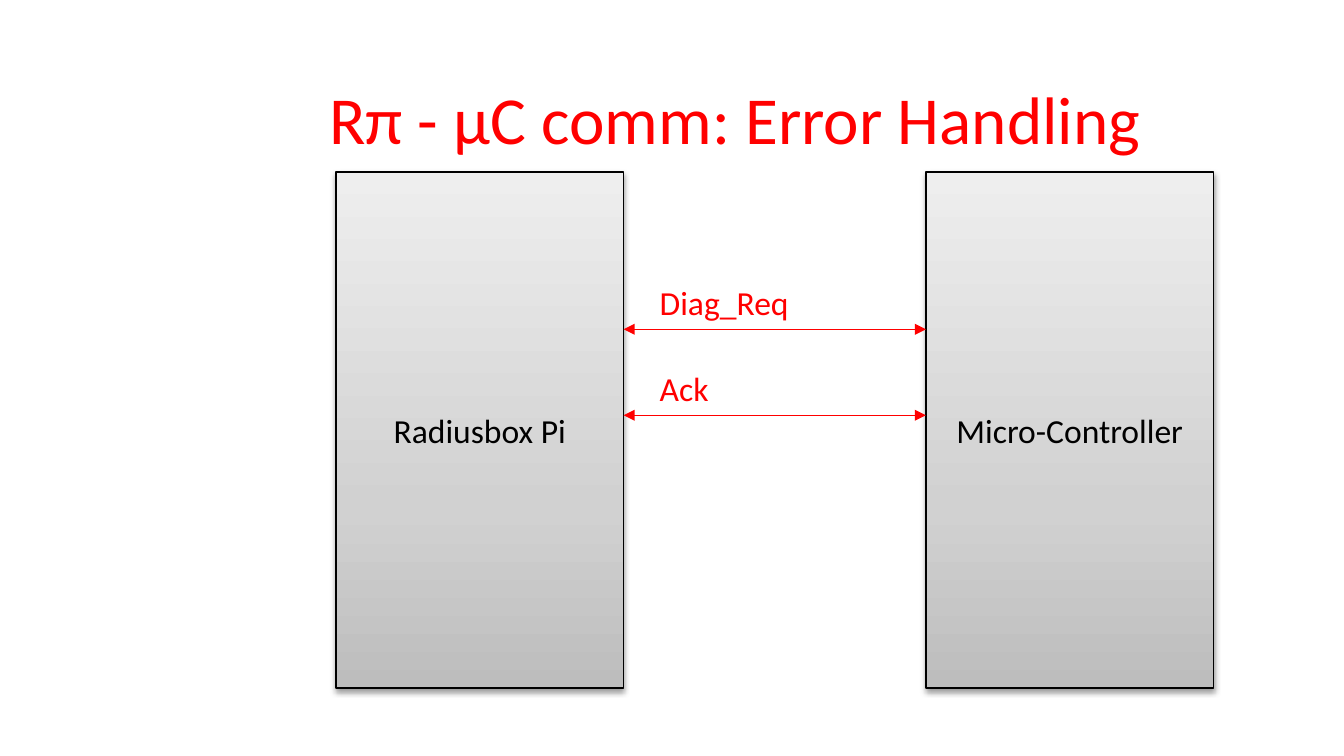
"""Build the error-handling slide: two devices and the messages between them."""
from dataclasses import dataclass

from lxml import etree
from pptx import Presentation
from pptx.dml.color import RGBColor
from pptx.enum.shapes import MSO_CONNECTOR, MSO_SHAPE
from pptx.enum.text import MSO_ANCHOR, MSO_AUTO_SIZE, PP_ALIGN
from pptx.oxml.ns import qn
from pptx.util import Inches, Pt

RECT, STRAIGHT = MSO_SHAPE.RECTANGLE, MSO_CONNECTOR.STRAIGHT
TOP, MIDDLE = MSO_ANCHOR.TOP, MSO_ANCHOR.MIDDLE
LEFT, CENTER = PP_ALIGN.LEFT, PP_ALIGN.CENTER
NO_FIT, GROW = MSO_AUTO_SIZE.NONE, MSO_AUTO_SIZE.SHAPE_TO_FIT_TEXT


@dataclass(frozen=True)
class Theme:
    font: str = "Calibri"
    title_size: int = 36
    body_size: int = 18
    line_width: float = 0.75
    accent: str = "FF0000"
    ink: str = "000000"
    gradient: tuple = ((0, "BDBDBD"), (35, "D1D1D1"), (100, "EEEEEE"))


@dataclass(frozen=True)
class Device:
    name: str
    left: float


@dataclass(frozen=True)
class Message:
    label: str
    y: float


THEME = Theme()
SLIDE_WIDTH = Inches(10)
SLIDE_HEIGHT = SLIDE_WIDTH * 9 // 16
DEVICE_TOP, DEVICE_WIDTH, DEVICE_HEIGHT = 1.28, 2.14, 3.84
LABEL_LEFT, LABEL_WIDTH, LABEL_HEIGHT = 4.81, 1.65, 0.4
DEVICES = (Device("Radiusbox Pi", 2.5), Device("Micro-Controller", 6.89))
MESSAGES = (Message("Diag_Req", 2.45), Message("Ack", 3.09))


def put_text(shape, text: str, *, size: int = THEME.body_size, color: str = THEME.ink,
             align=LEFT, anchor=TOP, fit=NO_FIT) -> None:
    """Write one formatted paragraph into a shape."""
    tf = shape.text_frame
    tf.word_wrap, tf.auto_size, tf.vertical_anchor = True, fit, anchor
    p = tf.paragraphs[0]
    p.alignment = align
    r = p.add_run()
    r.text = text
    r.font.name, r.font.size = THEME.font, Pt(size)
    r.font.color.rgb = RGBColor.from_string(color)


def add_color(parent, color: str):
    """Append an sRGB colour element."""
    return etree.SubElement(parent, qn("a:srgbClr"), val=color)


def shade(sp) -> None:
    """Give a shape the upward gradient and a soft shadow below."""
    sp.fill.gradient()
    sp.fill.gradient_angle = 90
    stops = sp._element.spPr.find(".//" + qn("a:gsLst"))
    for stop in list(stops):
        stops.remove(stop)
    for position, color in THEME.gradient:
        add_color(etree.SubElement(stops, qn("a:gs"), pos=str(position * 1000)), color)
    sp.shadow.inherit = False
    effects = sp._element.spPr.find(qn("a:effectLst"))
    shadow = etree.SubElement(effects, qn("a:outerShdw"), blurRad=str(Pt(3.1)),
                              dist=str(Pt(1.6)), dir="5400000", rotWithShape="0")
    etree.SubElement(add_color(shadow, THEME.ink), qn("a:alpha"), val="38000")


def style_line(line, color: str) -> None:
    """Set the colour and width of a line."""
    line.color.rgb = RGBColor.from_string(color)
    line.width = Pt(THEME.line_width)


def draw_device(s, device: Device) -> None:
    """Draw one device block."""
    sp = s.shapes.add_shape(RECT, Inches(device.left), Inches(DEVICE_TOP),
                            Inches(DEVICE_WIDTH), Inches(DEVICE_HEIGHT))
    shade(sp)
    style_line(sp.line, THEME.ink)
    put_text(sp, device.name, align=CENTER, anchor=MIDDLE)


def draw_message(s, message: Message) -> None:
    """Draw a grouped label and two-headed arrow between the devices."""
    group = s.shapes.add_group_shape()
    label = group.shapes.add_textbox(Inches(LABEL_LEFT), Inches(message.y - LABEL_HEIGHT),
                                     Inches(LABEL_WIDTH), Inches(LABEL_HEIGHT))
    put_text(label, message.label, color=THEME.accent, fit=GROW)
    sender, receiver = DEVICES
    arrow = group.shapes.add_connector(STRAIGHT, Inches(sender.left + DEVICE_WIDTH),
                                       Inches(message.y), Inches(receiver.left),
                                       Inches(message.y))
    style_line(arrow.line, THEME.accent)
    spPr = arrow._element.spPr
    for end in ("a:headEnd", "a:tailEnd"):
        etree.SubElement(spPr.find(qn("a:ln")), qn(end), type="triangle")
    etree.SubElement(spPr, qn("a:effectLst"))


def main() -> None:
    """Build and save the slide."""
    prs = Presentation()
    prs.slide_width, prs.slide_height = SLIDE_WIDTH, SLIDE_HEIGHT
    s = prs.slides.add_slide(prs.slide_layouts[5])
    title = s.shapes.title
    title.left, title.top = Inches(2.35), Inches(0.48)
    title.width, title.height = Inches(7.19), Inches(0.79)
    put_text(title, "Rπ - µC comm: Error Handling", size=THEME.title_size,
             color=THEME.accent, anchor=MIDDLE)
    for device in DEVICES:
        draw_device(s, device)
    for message in MESSAGES:
        draw_message(s, message)
    prs.save("out.pptx")


if __name__ == "__main__":
    main()
